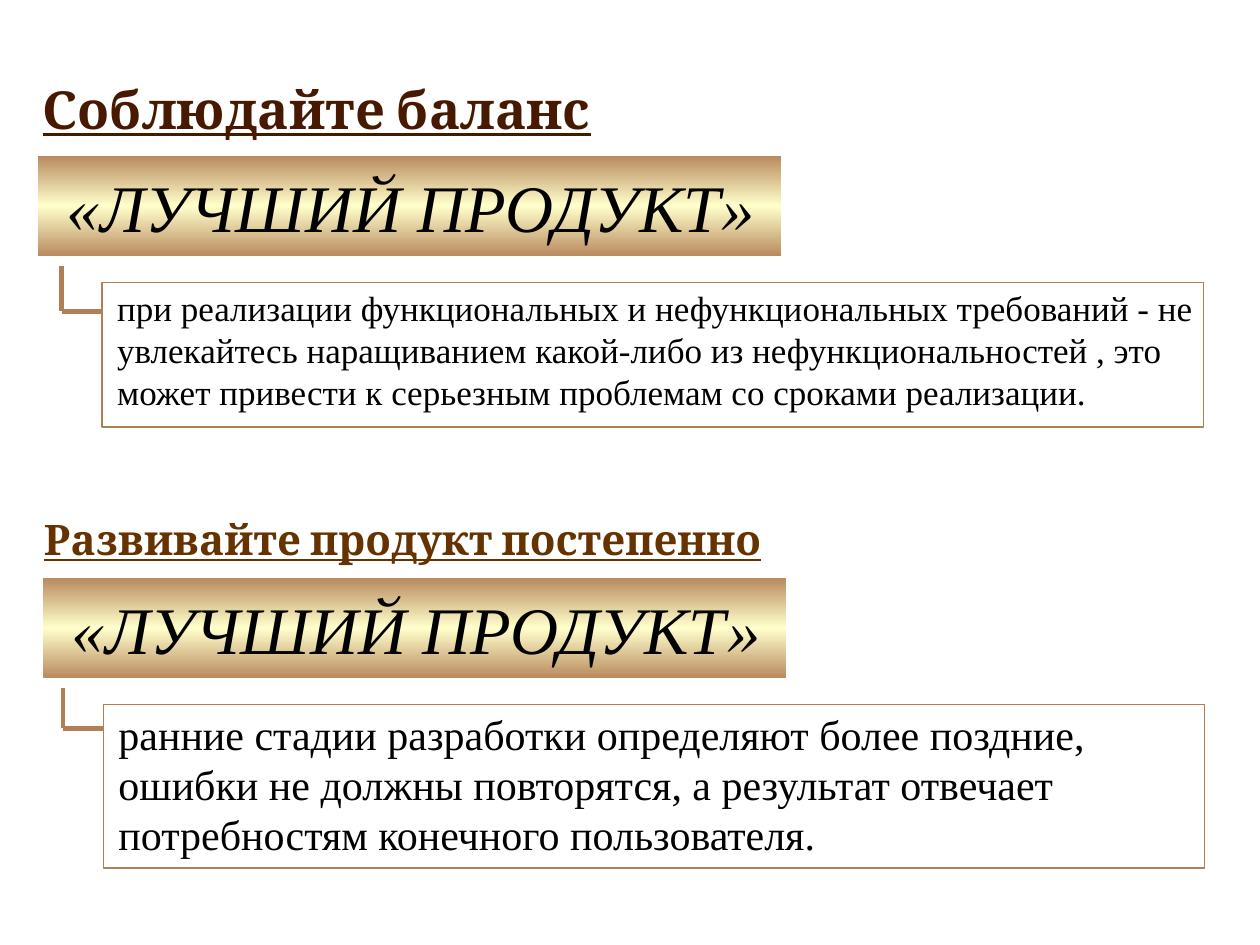
from copy import deepcopy

from lxml import etree
from pptx import Presentation
from pptx.dml.color import RGBColor
from pptx.enum.shapes import MSO_CONNECTOR, MSO_SHAPE
from pptx.enum.text import MSO_ANCHOR, MSO_AUTO_SIZE, PP_ALIGN
from pptx.oxml.ns import qn
from pptx.util import Inches, Pt

RECTANGLE = MSO_SHAPE.RECTANGLE
STRAIGHT = MSO_CONNECTOR.STRAIGHT
TOP, MIDDLE = MSO_ANCHOR.TOP, MSO_ANCHOR.MIDDLE
LEFT = PP_ALIGN.LEFT
NO_AUTOFIT = MSO_AUTO_SIZE.NONE

COLORS = {
    "bronze": "B27F54",
    "cream": "FFFFCC",
    "white": "FFFFFF",
    "black": "000000",
    "dark_brown": "461900",
    "brown": "663300",
}
HEADING_FONT, BODY_FONT = "Cambria", "Times New Roman"
BANNER_TEXT = "«ЛУЧШИЙ ПРОДУКТ»"

SECTIONS = [
    {
        "heading": "Соблюдайте баланс",
        "heading_area": (0.24, 0.56, 6.34, 0.45),
        "heading_size": 30,
        "heading_color": "dark_brown",
        "banner_area": (0.26, 1.2, 5.98, 0.87),
        "advice": "при реализации функциональных и нефункциональных требований - не "
                  "увлекайтесь наращиванием какой-либо из нефункциональностей , это "
                  "может привести к серьезным проблемам со сроками реализации.",
        "advice_area": (0.81, 2.24, 8.74, 1.15),
        "advice_size": 20,
        "elbow": [(0.49, 2.08), (0.49, 2.47), (0.89, 2.47)],
    },
    {
        "heading": "Развивайте продукт постепенно",
        "heading_area": (0.25, 4.03, 7.9, 0.8),
        "heading_size": 24,
        "heading_color": "brown",
        "banner_area": (0.3, 4.55, 5.98, 0.87),
        "advice": "ранние стадии разработки определяют более поздние, ошибки не "
                  "должны повторятся, а результат отвечает потребностям конечного "
                  "пользователя.",
        "advice_area": (0.82, 5.59, 8.74, 1.3),
        "advice_size": 24,
        "elbow": [(0.5, 5.39), (0.5, 5.78), (0.9, 5.78)],
    },
]


def rgb(name):
    return RGBColor.from_string(COLORS[name])


def write(box, text, size, font=BODY_FONT, color="black", bold=False, italic=False,
          underline=False, anchor=TOP, insets=(0.1, 0.05, 0.1, 0.05)):
    frame = box.text_frame
    frame.auto_size = NO_AUTOFIT
    frame.word_wrap = True
    frame.vertical_anchor = anchor
    (frame.margin_left, frame.margin_top,
     frame.margin_right, frame.margin_bottom) = map(Inches, insets)
    para = frame.paragraphs[0]
    para.alignment = LEFT
    span = para.add_run()
    span.text = text
    span.font.name = font
    span.font.size = Pt(size)
    span.font.color.rgb = rgb(color)
    span.font.bold = bold
    span.font.italic = italic
    span.font.underline = underline


def add_rectangle(page, area, line_color, line_width):
    box = page.shapes.add_shape(RECTANGLE, *map(Inches, area))
    box.shadow.inherit = False
    box.line.color.rgb = rgb(line_color)
    box.line.width = Pt(line_width)
    return box


def add_elbow(page, points):
    for start, end in zip(points, points[1:]):
        line = page.shapes.add_connector(STRAIGHT, *map(Inches, start + end))
        line.line.color.rgb = rgb("bronze")
        line.line.width = Pt(2.83)
        etree.SubElement(line._element.spPr, qn("a:effectLst"))


def fill_banner(banner):
    banner.fill.gradient()
    banner.fill.gradient_angle = 90
    stop_list = next(banner._element.spPr.iter(qn("a:gsLst")))
    stop_list.insert(1, deepcopy(stop_list[0]))
    names = ("bronze", "cream", "bronze")
    for index, (stop, name) in enumerate(zip(banner.fill.gradient_stops, names)):
        stop.position = index / 2
        stop.color.rgb = rgb(name)


def add_section(page, section, heading):
    add_elbow(page, section["elbow"])

    advice = add_rectangle(page, section["advice_area"], "bronze", 0.75)
    advice.fill.solid()
    advice.fill.fore_color.rgb = rgb("white")
    write(advice, section["advice"], section["advice_size"], insets=(0.12, 0.03, 0, 0))

    banner = add_rectangle(page, section["banner_area"], "white", 5.67)
    fill_banner(banner)
    write(banner, BANNER_TEXT, 38, italic=True, anchor=MIDDLE,
          insets=(0.27, 0.09, 0.05, 0.09))

    heading.left, heading.top, heading.width, heading.height = map(
        Inches, section["heading_area"])
    write(heading, section["heading"], section["heading_size"], font=HEADING_FONT,
          color=section["heading_color"], bold=True, underline=True)


def main():
    deck = Presentation()
    deck.slide_width, deck.slide_height = Inches(10), Inches(7.5)
    page = deck.slides.add_slide(deck.slide_layouts[5])
    first, second = SECTIONS
    add_section(page, first, page.shapes.title)
    add_section(page, second, page.shapes.add_textbox(0, 0, 0, 0))
    deck.save("out.pptx")


if __name__ == "__main__":
    main()
